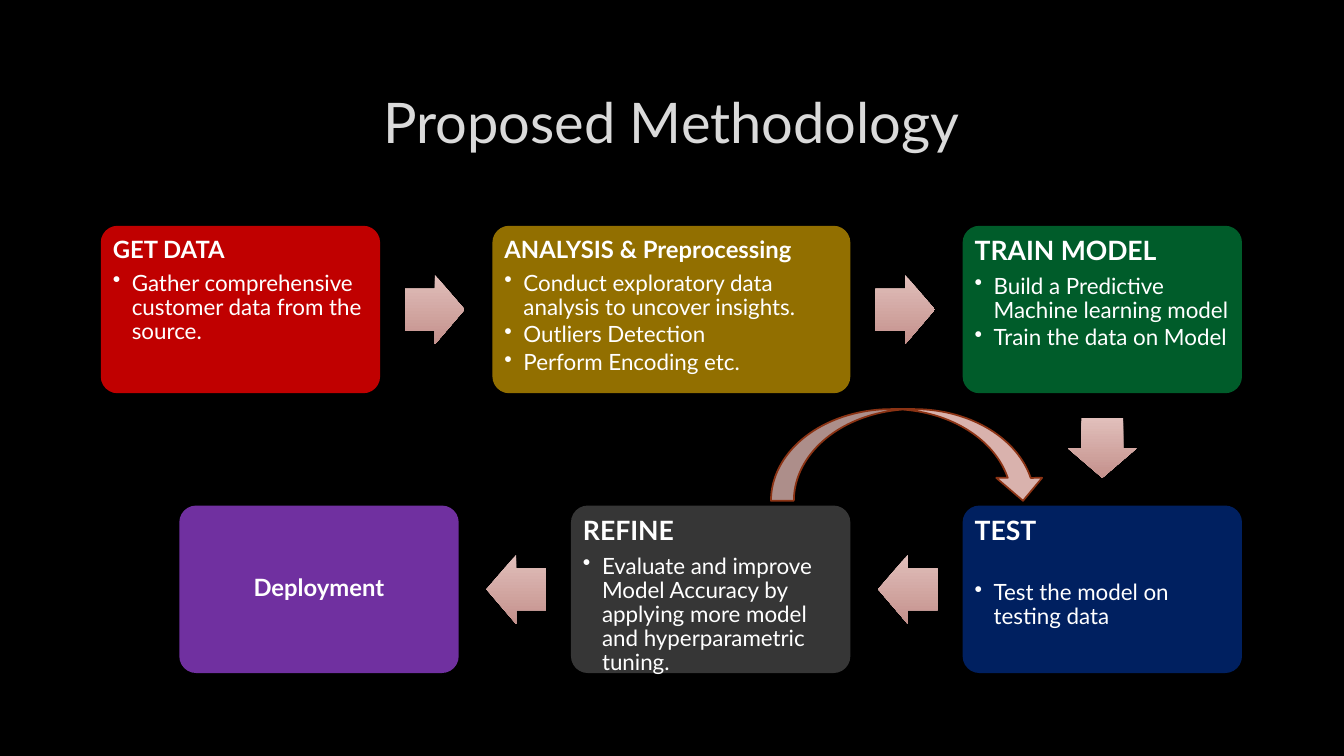
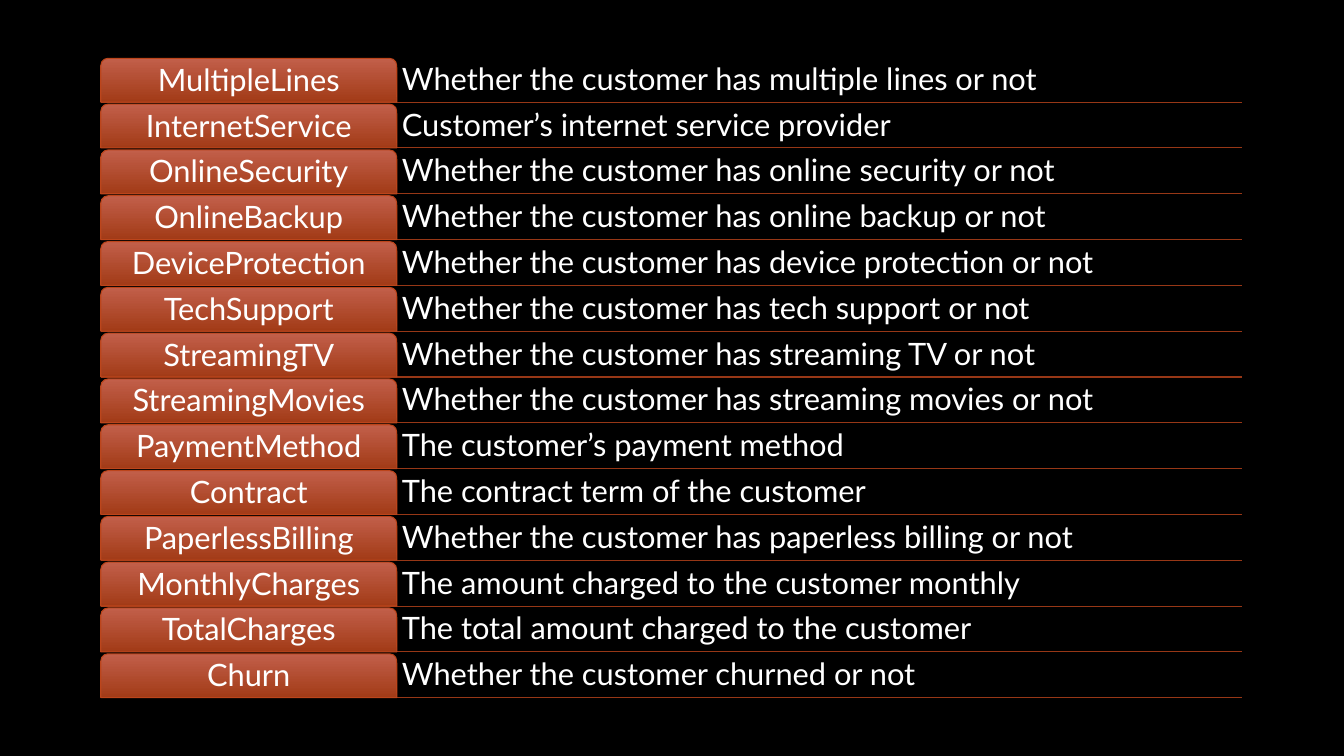
import dataclasses
import typing

import pptx
import pptx.dml.color
import pptx.enum.shapes
import pptx.enum.text
import pptx.oxml
import pptx.oxml.ns
import pptx.util
from pptx.util import Cm

Shape = pptx.enum.shapes.MSO_SHAPE
Anchor = pptx.enum.text.MSO_ANCHOR
Align = pptx.enum.text.PP_ALIGN

FONT = "Lato"
BLACK, WHITE, TITLE_GREY = "000000", "FFFFFF", "DADADA"
ARROW_FILL = ("E1BFBB", "C4918C")
LOOP_FILL, LOOP_LINE = "D9B2AD", "8B3314"
TAB_FILL, TAB_LINE, RULE_LINE = ("C25F4A", "A23B17"), "BC451B", "973716"

# All lengths below are in centimetres.
LEFT, RIGHT = 2.54, 31.3
STEP_HEIGHT, STEP_WIDTH, WIDE_STEP = 4.22, 7.04, 9.02
STEP_TOP, STEP_GAP, STEP_INSET = 5.69, 2.83, 0.18
ARROW_LENGTH, ARROW_BREADTH, ARROW_OFFSET = 1.5, 1.75, 0.63
BULLET_INDENT = 0.48
LIST_TOP, LIST_BOTTOM, ROW_GAP = 1.47, 17.58, 0.05
TAB_WIDTH, ROW_INSET = 7.46, 0.13


class Direction(typing.NamedTuple):
    arrow: Shape
    dx: int
    dy: int


class Area(typing.NamedTuple):
    left: float
    top: float
    width: float
    height: float

    def lengths(self) -> list[int]:
        return [Cm(value) for value in self]


TO_RIGHT = Direction(Shape.RIGHT_ARROW, 1, 0)
TO_LEFT = Direction(Shape.LEFT_ARROW, -1, 0)
DOWN = Direction(Shape.DOWN_ARROW, 0, 1)


@dataclasses.dataclass
class Step:
    heading: str
    color: str
    bullets: tuple[str, ...] = ()
    way_out: Direction | None = None
    size: int = 17
    width: float = STEP_WIDTH
    heading_gap: float = 6


class Feature(typing.NamedTuple):
    name: str
    meaning: str


STEPS = [
    Step("GET DATA", "C00000", ("Gather comprehensive customer data from the source.",), TO_RIGHT),
    Step(
        "ANALYSIS & Preprocessing",
        "926F00",
        (
            "Conduct exploratory data analysis to uncover insights.",
            "Outliers Detection",
            "Perform Encoding etc.",
        ),
        TO_RIGHT,
        width=WIDE_STEP,
    ),
    Step(
        "TRAIN MODEL",
        "005C2A",
        ("Build a Predictive Machine learning model", "Train the data on Model"),
        DOWN,
        size=19,
    ),
    Step("TEST", "002060", ("Test the model on testing data",), TO_LEFT, size=19, heading_gap=25),
    Step(
        "REFINE",
        "363636",
        ("Evaluate and improve Model Accuracy by applying more model and hyperparametric tuning.",),
        TO_LEFT,
        size=19,
    ),
    Step("Deployment", "7030A0"),
]

FEATURES = [
    Feature("MultipleLines", "Whether the customer has multiple lines or not"),
    Feature("InternetService", "Customer’s internet service provider"),
    Feature("OnlineSecurity", "Whether the customer has online security or not"),
    Feature("OnlineBackup", "Whether the customer has online backup or not"),
    Feature("DeviceProtection", "Whether the customer has device protection or not"),
    Feature("TechSupport", "Whether the customer has tech support or not"),
    Feature("StreamingTV", "Whether the customer has streaming TV or not"),
    Feature("StreamingMovies", "Whether the customer has streaming movies or not"),
    Feature("PaymentMethod", "The customer’s payment method"),
    Feature("Contract", "The contract term of the customer"),
    Feature("PaperlessBilling", "Whether the customer has paperless billing or not"),
    Feature("MonthlyCharges", "The amount charged to the customer monthly"),
    Feature("TotalCharges", "The total amount charged to the customer"),
    Feature("Churn", "Whether the customer churned or not"),
]


def rgb(color: str) -> pptx.dml.color.RGBColor:
    return pptx.dml.color.RGBColor.from_string(color)


def set_line(line, color: str, width: float) -> None:
    line.color.rgb = rgb(color)
    line.width = pptx.util.Pt(width)


def add_box(page, kind: Shape, area: Area, fill: str | tuple[str, str],
            adjustments: tuple[float, ...] = (), outline: tuple[str, float] | None = None):
    """Add a preset shape; a pair of fill colours runs from top to bottom."""
    box = page.shapes.add_shape(kind, *area.lengths())
    box.shadow.inherit = False
    for index, value in enumerate(adjustments):
        box.adjustments[index] = value
    if isinstance(fill, str):
        box.fill.solid()
        box.fill.fore_color.rgb = rgb(fill)
    else:
        box.fill.gradient()
        box.fill.gradient_angle = 270
        for stop, color in zip(box.fill.gradient_stops, fill):
            stop.color.rgb = rgb(color)
    if outline:
        set_line(box.line, *outline)
    else:
        box.line.fill.background()
    return box


def set_frame(box, anchor: Anchor, inset: float) -> None:
    frame = box.text_frame
    frame.word_wrap = True
    frame.vertical_anchor = anchor
    frame.margin_left = frame.margin_right = Cm(inset)
    frame.margin_top = frame.margin_bottom = Cm(inset)


def add_text(box, text: str, *, size: float, color: str = WHITE, bold: bool = False,
             align: Align = Align.LEFT, spacing: float = 0.9, after: float = 0,
             bullet: bool = False) -> None:
    """Add one paragraph, using the empty first one when it is still free."""
    frame = box.text_frame
    para = frame.paragraphs[0] if not frame.text else frame.add_paragraph()
    para.alignment = align
    para.line_spacing = spacing
    para.space_after = pptx.util.Pt(after)
    if bullet:
        properties = para._p.get_or_add_pPr()
        properties.set("marL", str(Cm(BULLET_INDENT)))
        properties.set("indent", str(-Cm(BULLET_INDENT)))
        mark = pptx.oxml.parse_xml(f'<a:buChar {pptx.oxml.ns.nsdecls("a")} char="•"/>')
        properties.append(mark)
    span = para.add_run()
    span.text = text
    span.font.name = FONT
    span.font.size = pptx.util.Pt(size)
    span.font.bold = bold
    span.font.color.rgb = rgb(color)


def add_title(page, text: str) -> None:
    box = page.shapes.add_textbox(*Area(LEFT, 1.7, RIGHT - LEFT, 2.7).lengths())
    set_frame(box, Anchor.MIDDLE, 0.13)
    add_text(box, text, size=40, color=TITLE_GREY, align=Align.CENTER, spacing=1)


def centred(x: float, y: float, width: float, height: float) -> Area:
    return Area(x - width / 2, y - height / 2, width, height)


def add_step(page, step: Step, x: float, y: float) -> None:
    box = add_box(page, Shape.ROUNDED_RECTANGLE, centred(x, y, step.width, STEP_HEIGHT),
                  step.color, (0.1,))
    set_frame(box, Anchor.TOP if step.bullets else Anchor.MIDDLE, STEP_INSET)
    add_text(box, step.heading, size=step.size, bold=True,
             align=Align.LEFT if step.bullets else Align.CENTER,
             after=step.heading_gap if step.bullets else 0)
    for bullet in step.bullets:
        add_text(box, bullet, size=16, after=2.4, bullet=True)


def add_step_arrow(page, step: Step, x: float, y: float) -> None:
    way = step.way_out
    reach = ARROW_OFFSET + ARROW_LENGTH / 2
    size = (ARROW_LENGTH, ARROW_BREADTH) if way.dx else (ARROW_BREADTH, ARROW_LENGTH)
    area = centred(x + way.dx * (step.width / 2 + reach),
                   y + way.dy * (STEP_HEIGHT / 2 + reach), *size)
    add_box(page, way.arrow, area, ARROW_FILL, (0.6, 0.5))


def draw_methodology(page) -> None:
    add_title(page, "Proposed Methodology")
    x, y = LEFT + STEPS[0].width / 2, STEP_TOP + STEP_HEIGHT / 2
    for step, following in zip(STEPS, STEPS[1:] + [None]):
        add_step(page, step, x, y)
        if following:
            add_step_arrow(page, step, x, y)
            x += step.way_out.dx * ((step.width + following.width) / 2 + STEP_GAP)
            y += step.way_out.dy * (STEP_HEIGHT + STEP_GAP)
    add_box(page, Shape.CURVED_DOWN_ARROW, Area(19.43, 10.31, 6.93, 2.31), LOOP_FILL,
            outline=(LOOP_LINE, 1.25))


def add_rule(page, y: float) -> None:
    rule = page.shapes.add_connector(pptx.enum.shapes.MSO_CONNECTOR.STRAIGHT,
                                     Cm(LEFT), Cm(y), Cm(RIGHT), Cm(y))
    set_line(rule.line, RULE_LINE, 0.75)
    rule._element.spPr.append(
        pptx.oxml.parse_xml(f'<a:effectLst {pptx.oxml.ns.nsdecls("a")}/>'))


def add_feature(page, feature: Feature, top: float, height: float) -> None:
    add_rule(page, top + height)
    tab = add_box(page, Shape.ROUND_2_SAME_RECTANGLE, Area(LEFT, top, TAB_WIDTH, height),
                  TAB_FILL, (0.167, 0), (TAB_LINE, 0.75))
    set_frame(tab, Anchor.MIDDLE, ROW_INSET)
    add_text(tab, feature.name, size=22, align=Align.CENTER)
    left = LEFT + TAB_WIDTH
    meaning = page.shapes.add_textbox(*Area(left, top, RIGHT - left, height).lengths())
    set_frame(meaning, Anchor.BOTTOM, ROW_INSET)
    add_text(meaning, feature.meaning, size=22)


def draw_features(page) -> None:
    pitch = (LIST_BOTTOM - LIST_TOP + ROW_GAP) / len(FEATURES)
    for index, feature in enumerate(FEATURES):
        add_feature(page, feature, LIST_TOP + index * pitch, pitch - ROW_GAP)


def main() -> None:
    deck = pptx.Presentation()
    deck.slide_width, deck.slide_height = Cm(33.87), Cm(19.05)
    backdrop = deck.slide_master.background.fill
    backdrop.solid()
    backdrop.fore_color.rgb = rgb(BLACK)
    for draw in (draw_methodology, draw_features):
        draw(deck.slides.add_slide(deck.slide_layouts[6]))
    deck.save("out.pptx")


if __name__ == "__main__":
    main()
